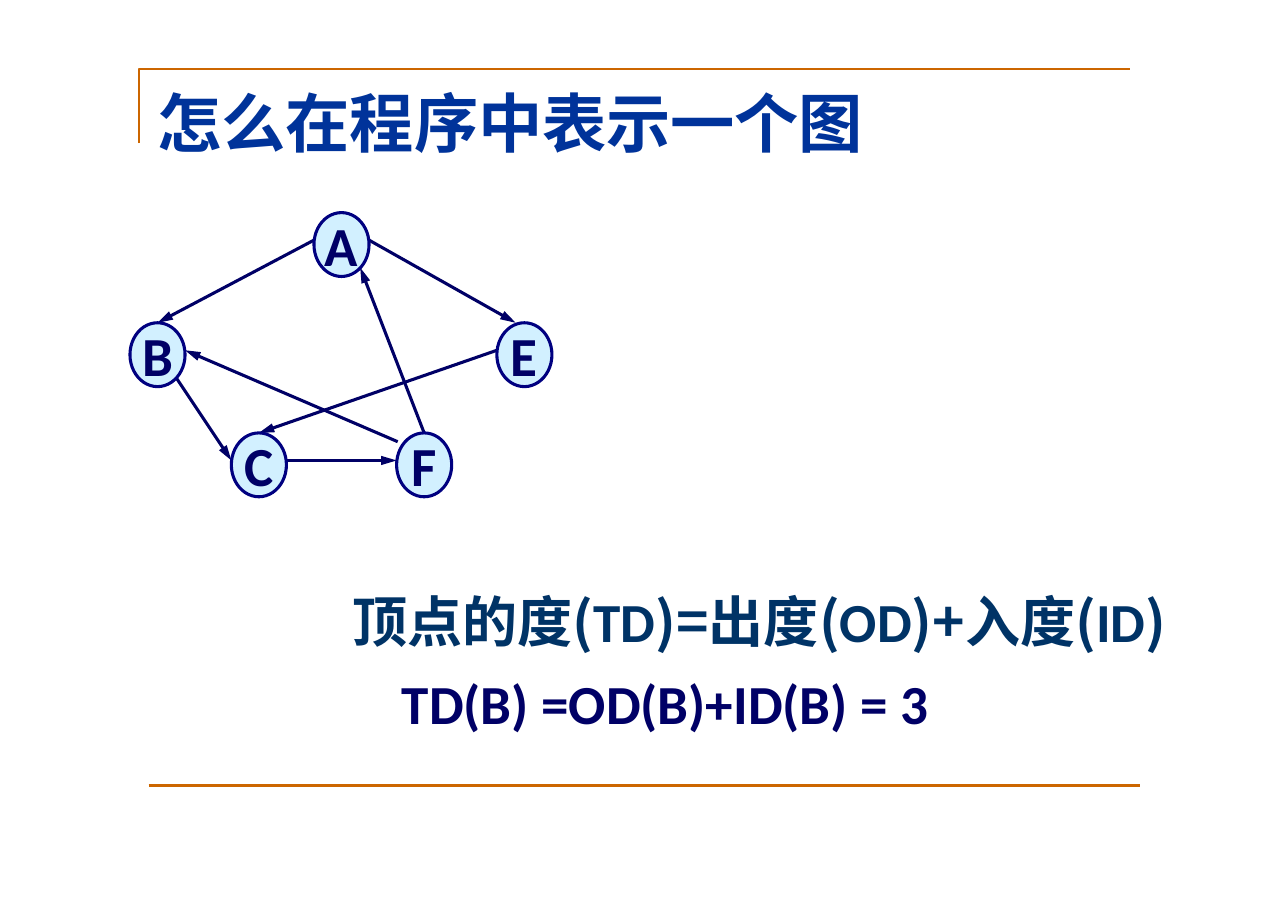
from lxml.etree import SubElement
from pptx import Presentation
from pptx.dml.color import RGBColor
from pptx.enum.shapes import MSO_CONNECTOR, MSO_SHAPE
from pptx.enum.text import MSO_ANCHOR, PP_ALIGN
from pptx.oxml.ns import qn
from pptx.util import Inches, Pt

LATIN, CJK = "Calibri", "Noto Sans CJK SC"
NAVY = "000066"
NODE_W, NODE_H = 0.5, 0.58
NODES = {"A": (1.67, 0), "B": (0, 1), "E": (3.33, 1), "C": (0.92, 2), "F": (2.42, 2)}
PORTS = {
    "left": (0, 0.25), "right": (0.5, 0.25), "top": (0.25, 0),
    "lower right": (0.42, 0.5), "upper left": (0.01, 0.08), "top left": (0.17, 0),
}
EDGES = [
    ("A", "left", "B", "top"), ("B", "lower right", "C", "left"),
    ("C", "right", "F", "left"), ("F", "top", "A", "lower right"),
    ("A", "right", "E", "top left"), ("F", "upper left", "B", "right"),
    ("E", "left", "C", "top"),
]


def rgb(color):
    return RGBColor.from_string(color)


def set_font(font, name=None, size=None, color=None):
    if size:
        font.size, font.bold = Pt(size), True
    if color:
        font.color.rgb = rgb(color)
    if name:
        font.name = name
        SubElement(font._element, qn("a:ea")).set("typeface", name)


def set_line(line, color, width):
    line.color.rgb = rgb(color)
    line.width = Pt(width)


def add_line(slide, x1, y1, x2, y2, color, width, arrow=False):
    line = slide.shapes.add_connector(
        MSO_CONNECTOR.STRAIGHT, Inches(x1), Inches(y1), Inches(x2), Inches(y2))
    set_line(line.line, color, width)
    if arrow:
        SubElement(line.line._get_or_add_ln(), qn("a:tailEnd"), type="triangle", w="med", len="lg")
    SubElement(line._element.spPr, qn("a:effectLst"))


def add_frame(slide, x, y, w, h):
    builder = slide.shapes.build_freeform(Inches(x), Inches(y + 0.67))
    builder.add_line_segments(
        [(Inches(x), Inches(y)), (Inches(x + w), Inches(y))], close=False)
    corner = builder.convert_to_shape()
    corner.shadow.inherit = False
    corner.fill.background()
    set_line(corner.line, "CC6600", 1.5)
    add_line(slide, x + 0.09, y + h, x + w + 0.09, y + h, "CC6600", 1.5)


def add_title(slide, x, y, w, h):
    sp = slide.shapes.title
    sp.left, sp.top, sp.width, sp.height = map(Inches, (x, y, w, h))
    tf = sp.text_frame
    tf.margin_left = tf.margin_top = tf.margin_right = tf.margin_bottom = 0
    tf.vertical_anchor = MSO_ANCHOR.MIDDLE
    tf.word_wrap = True
    p = tf.paragraphs[0]
    p.text = "怎么在程序中表示一个图"
    p.alignment = PP_ALIGN.LEFT
    set_font(p.font, CJK, 42, "00339A")
    p.font._element.set("spc", "-10")


def add_node(slide, label, x, y):
    sp = slide.shapes.add_shape(
        MSO_SHAPE.OVAL, Inches(x), Inches(y), Inches(NODE_W), Inches(NODE_H))
    sp.shadow.inherit = False
    sp.fill.solid()
    sp.fill.fore_color.rgb = rgb("A7E2FF")
    fill_color = sp._element.spPr.find(qn("a:solidFill"))[0]
    SubElement(fill_color, qn("a:alpha")).set("val", "50000")
    set_line(sp.line, "000080", 2)
    tf = sp.text_frame
    tf.word_wrap = False
    tf.vertical_anchor = MSO_ANCHOR.MIDDLE
    p = tf.paragraphs[0]
    p.text = label
    p.alignment = PP_ALIGN.CENTER
    set_font(p.font, LATIN, 36, NAVY)


def add_graph(slide, x, y):
    def port(node, side):
        (nx, ny), (px, py) = NODES[node], PORTS[side]
        return x + nx + px, y + ny + py

    for start, start_side, end, end_side in EDGES:
        add_line(slide, *port(start, start_side), *port(end, end_side), NAVY, 2, arrow=True)
    for label, (nx, ny) in NODES.items():
        add_node(slide, label, x + nx, y + ny)


def add_formulas(slide, x, y, w, h):
    tf = slide.shapes.add_textbox(Inches(x), Inches(y), Inches(w), Inches(h)).text_frame
    tf.word_wrap = True
    p = tf.paragraphs[0]
    p.line_spacing = 1.25
    set_font(p.font, size=36, color="003366")
    for i, text in enumerate(["顶点的度(", "TD", ")=出度(", "OD", ")+入度(", "ID", ")"]):
        r = p.add_run()
        r.text = text
        set_font(r.font, LATIN if i % 2 else CJK)
    p = tf.add_paragraph()
    p.text = "TD(B) =OD(B)+ID(B) = 3"
    p.line_spacing = 1.25
    p._p.get_or_add_pPr().set("marL", str(Inches(0.45)))
    set_font(p.font, LATIN, 36, NAVY)


def main():
    prs = Presentation()
    prs.slide_width, prs.slide_height = Inches(11.69), Inches(8.27)
    slide = prs.slides.add_slide(prs.slide_layouts[5])
    add_frame(slide, 1.26, 0.63, 9, 6.5)
    add_title(slide, 1.43, 0.74, 6.46, 0.73)
    add_graph(slide, 1.18, 1.93)
    add_formulas(slide, 3.1, 5.13, 8.4, 1.6)
    prs.save("out.pptx")


if __name__ == "__main__":
    main()
